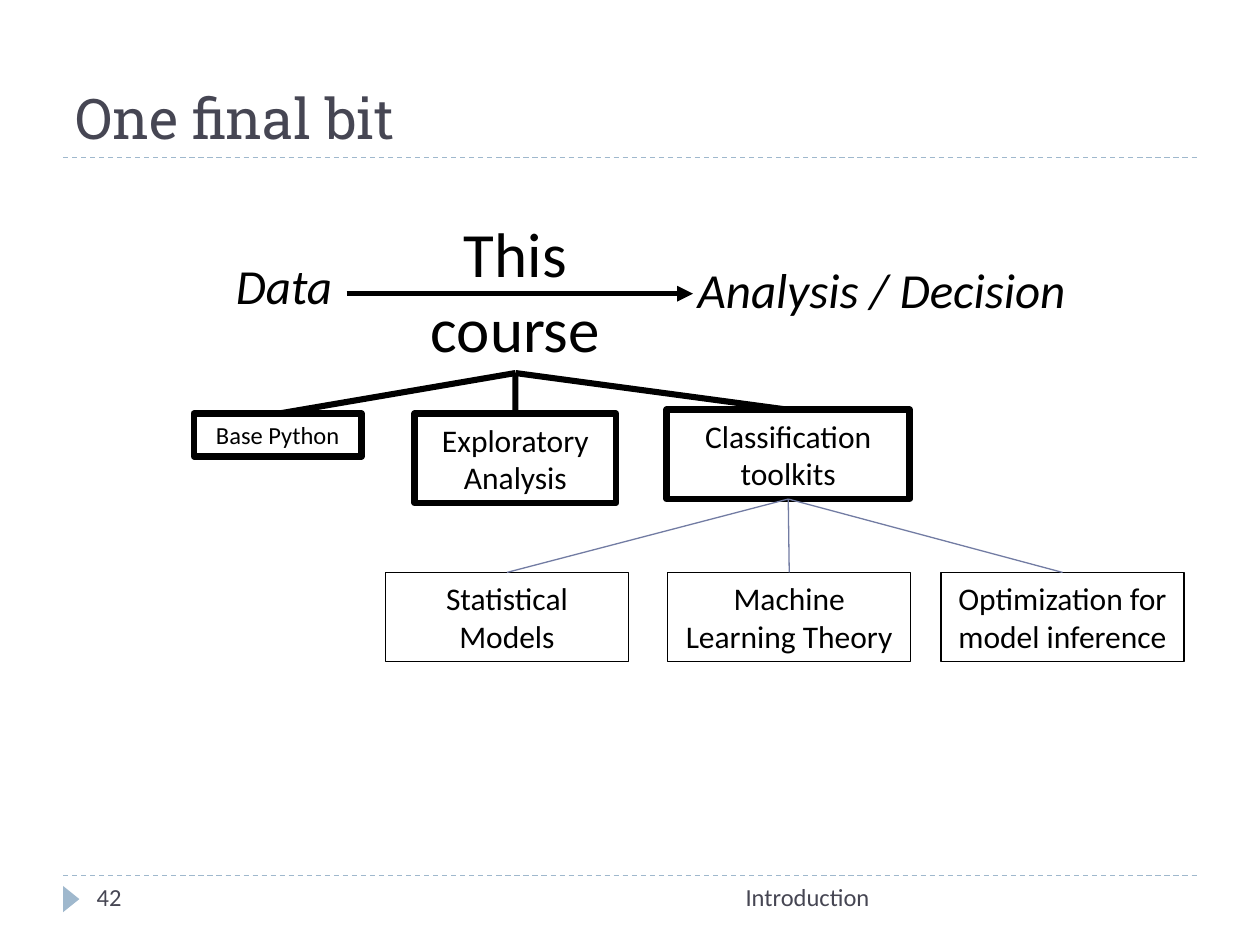
from lxml import etree
from pptx import Presentation, util as u
from pptx.dml.color import RGBColor
from pptx.enum import dml, shapes, text
from pptx.oxml import ns

INK, BLACK, PALE, BLUE = "464653", "000000", "9FB8CD", "727CA3"


def colour(value):
    """Turn a hex string into a colour."""
    return RGBColor.from_string(value)


def place(shape, box):
    """Give a shape its left, top, width and height in centimetres."""
    for name, value in zip(("left", "top", "width", "height"), box):
        setattr(shape, name, u.Cm(value))


def write(shape, words, size, ink=BLACK, align="CENTER", anchor="TOP", font="Calibri", italic=False):
    """Fill a shape with one formatted paragraph."""
    frame = shape.text_frame
    frame.text = words
    frame_format = {"word_wrap": True, "auto_size": text.MSO_AUTO_SIZE.NONE,
                    "vertical_anchor": text.MSO_ANCHOR[anchor]}
    for name, value in frame_format.items():
        setattr(frame, name, value)
    paragraph = frame.paragraphs[0]
    paragraph.alignment = text.PP_ALIGN[align]
    run = paragraph.runs[0]
    for name, value in {"name": font, "size": u.Pt(size), "italic": italic}.items():
        setattr(run.font, name, value)
    run.font.color.rgb = colour(ink)


def add_label(slide, box, words, size, **formats):
    """Add a text box and return it."""
    shape = slide.shapes.add_textbox(0, 0, 0, 0)
    place(shape, box)
    write(shape, words, size, **formats)
    return shape


def add_box(slide, box, words, size, weight):
    """Add an outlined rectangle with text and return it."""
    shape = slide.shapes.add_shape(shapes.MSO_SHAPE.RECTANGLE, 0, 0, 0, 0)
    place(shape, box)
    shape.shadow.inherit = False
    shape.fill.background()
    shape.line.color.rgb = colour(BLACK)
    shape.line.width = u.Pt(weight)
    write(shape, words, size, anchor="MIDDLE")
    return shape


def add_line(slide, ends, ink, weight):
    """Add a straight connector without a shadow and return it."""
    line = slide.shapes.add_connector(shapes.MSO_CONNECTOR.STRAIGHT, *map(u.Cm, ends))
    line.line.color.rgb = colour(ink)
    line.line.width = u.Pt(weight)
    etree.SubElement(line._element.spPr, ns.qn("a:effectLst"))
    return line


def add_branches(slide, parent, children, ink, weight):
    """Join the top of each child to the bottom of its parent."""
    for child in children:
        line = add_line(slide, (0, 0, 0, 0), ink, weight)
        line.begin_connect(child, 0)
        line.end_connect(parent, 2)


def add_rule(slide, left, top, width):
    """Add a dashed horizontal rule."""
    rule = add_line(slide, (left, top, left + width, top), PALE, 0.75)
    rule.line.dash_style = dml.MSO_LINE.DASH


def add_heading(slide, left, top, width, height):
    """Place the title above its rule."""
    title = slide.shapes.title
    place(title, (left, top, width, height))
    write(title, "One final bit", 32, ink=INK, align="LEFT", anchor="BOTTOM", font="Roboto Slab")
    add_rule(slide, left, top + height, width)


def add_footer(slide, left, top, width, height):
    """Place the rule, marker, page number and footer text."""
    add_rule(slide, left, top, width)
    marker = slide.shapes.add_shape(shapes.MSO_SHAPE.ISOSCELES_TRIANGLE, 0, 0, 0, 0)
    place(marker, (left - 0.1, top + 0.31, 0.53, 0.33))
    marker.rotation = 90
    marker.shadow.inherit = False
    marker.fill.solid()
    marker.fill.fore_color.rgb = colour(PALE)
    marker.line.fill.background()
    add_label(slide, (left + 6.78, top, 9.73, height), "Introduction", 14, ink=INK, align="RIGHT")
    add_label(slide, (left + 0.43, top, 5.51, height), "42", 14, ink=INK, align="LEFT")


def add_flow(slide, left, top):
    """Place the arrow from data to decision and return the course label."""
    add_label(slide, (left, top + 0.84, 5.51, 1.45), "Data", 28, italic=True)
    add_label(slide, (left + 10.57, top + 0.92, 8.46, 1.45), "Analysis / Decision", 28, italic=True)
    arrow = add_line(slide, (left + 4.02, top + 1.73, left + 11, top + 1.73), BLACK, 3)
    etree.SubElement(arrow.line._get_or_add_ln(), ns.qn("a:tailEnd"), type="triangle")
    return add_label(slide, (left + 4.88, top, 5.08, 3.33), "This course", 36)


def add_tree(slide, course, left, top):
    """Place the topics under the course and the theory under the toolkits."""
    topics = [add_box(slide, (left + x, top + y, width, height), words, size, 3.75)
              for x, y, width, height, words, size in (
                  (0, 0.08, 3.38, 0.86, "Base Python", 14),
                  (4.45, 0.08, 4.06, 1.8, "Exploratory Analysis", 18),
                  (9.53, 0, 4.9, 1.8, "Classification toolkits", 18))]
    theories = [add_box(slide, (left + x, top + 3.28, 4.9, 1.8), words, 18, 0.75)
                for x, words in ((3.86, "Statistical Models"),
                                 (9.55, "Machine Learning Theory"),
                                 (15.06, "Optimization for model inference"))]
    add_branches(slide, course, topics, BLACK, 3.5)
    add_branches(slide, topics[-1], theories, BLUE, 0.75)


def main():
    """Build and save the slide."""
    presentation = Presentation()
    presentation.slide_width, presentation.slide_height = u.Cm(25.4), u.Cm(19.05)
    slide = presentation.slides.add_slide(presentation.slide_layouts.get_by_name("Title Only"))
    add_heading(slide, 1.27, 0.43, 22.86, 2.74)
    add_footer(slide, 1.27, 17.65, 22.86, 1.02)
    course = add_flow(slide, 2.97, 4.19)
    add_tree(slide, course, 3.91, 8.26)
    presentation.save("out.pptx")


if __name__ == "__main__":
    main()
